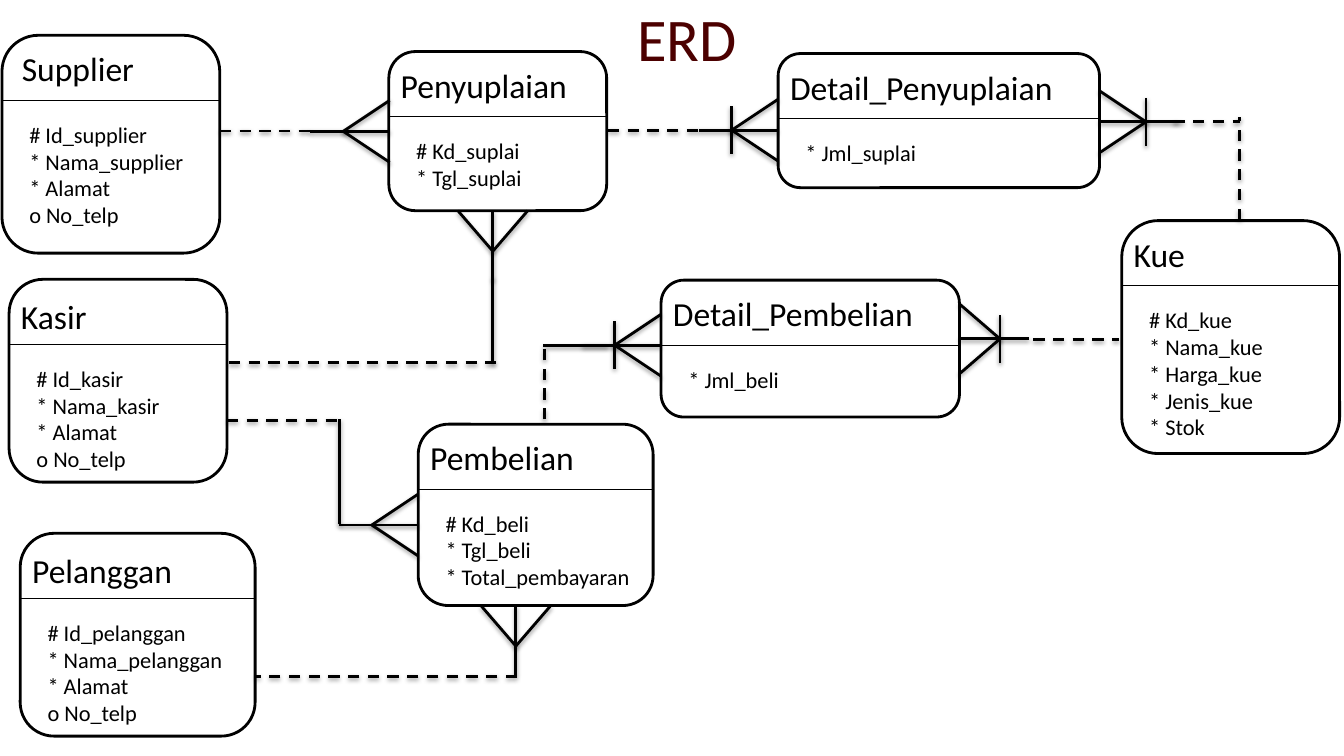
"""Build the ERD slide of a cake shop: entities, crow's feet and links."""
from lxml import etree
from pptx import Presentation
from pptx import util as u
from pptx.dml.color import RGBColor
from pptx.enum import dml, shapes, text
from pptx.oxml.ns import qn

Cm = u.Cm
SHADOW = {"blurRad": "39370", "dist": "20320", "dir": "5400000", "rotWithShape": "0"}


def stroke(parent, x1, y1, x2, y2, width=2, dashed=False, shadow=True):
    line = parent.add_connector(shapes.MSO_CONNECTOR.STRAIGHT, Cm(x1), Cm(y1), Cm(x2), Cm(y2))
    line.line.color.rgb = RGBColor.from_string("000000")
    line.line.width = u.Pt(width)
    if dashed:
        line.line.dash_style = dml.MSO_LINE.DASH
    effects = etree.SubElement(line._element.spPr, qn("a:effectLst"))
    if shadow:
        outer = etree.SubElement(effects, qn("a:outerShdw"), SHADOW)
        black = etree.SubElement(outer, qn("a:srgbClr"), val="000000")
        etree.SubElement(black, qn("a:alpha"), val="38000")


def write(frame, lines, size, color="000000"):
    frame.word_wrap = True
    frame.text = "\n".join(lines)
    for paragraph in frame.paragraphs:
        paragraph.alignment = text.PP_ALIGN.LEFT
        for name, value in {"name": "Calibri", "size": u.Pt(size)}.items():
            setattr(paragraph.font, name, value)
        paragraph.font.color.rgb = RGBColor.from_string(color)


deck = Presentation()
deck.slide_width, deck.slide_height = Cm(33.87), Cm(19.05)
slide = deck.slides.add_slide(deck.slide_layouts[5])

heading = slide.shapes.title
placement = {"left": Cm(15.8), "top": Cm(-0.13), "width": Cm(6.43), "height": Cm(2.13)}
for name, value in placement.items():
    setattr(heading, name, value)
write(heading.text_frame, ["ERD"], 43.2, "4C0000")
heading.text_frame.vertical_anchor = text.MSO_ANCHOR.MIDDLE

# left, top, width, height, name, name offset, attributes
entities = [
    (0.05, 0.89, 5.49, 5.49, "Supplier", (0.25, 0.2),
     ["# Id_supplier", "* Nama_supplier", "* Alamat", "o No_telp"]),
    (9.8, 1.3, 5.49, 4.01, "Penyuplaian", (0.05, 0.2),
     ["# Kd_suplai", "* Tgl_suplai"]),
    (28.27, 5.56, 5.49, 5.87, "Kue", (0.05, 0.2),
     ["# Kd_kue", "* Nama_kue", "* Harga_kue", "* Jenis_kue", "* Stok"]),
    (10.54, 10.69, 5.92, 4.57, "Pembelian", (0.05, 0.2),
     ["# Kd_beli", "* Tgl_beli", "* Total_pembayaran"]),
    (0.23, 7.04, 5.49, 5.11, "Kasir", (0.05, 0.3),
     ["# Id_kasir", "* Nama_kasir", "* Alamat", "o No_telp"]),
    (19.61, 1.35, 8.1, 3.38, "Detail_Penyuplaian", (0.05, 0.2), ["* Jml_suplai"]),
    (16.66, 7.06, 7.52, 3.45, "Detail_Pembelian", (0.05, 0.2), ["* Jml_beli"]),
    (0.51, 13.44, 5.92, 5.11, "Pelanggan", (0.05, 0.3),
     ["# Id_pelanggan", "* Nama_pelanggan", "* Alamat", "o No_telp"]),
]
for left, top, width, height, entity, (dx, dy), attributes in entities:
    group = slide.shapes.add_group_shape().shapes
    body = group.add_shape(shapes.MSO_SHAPE.ROUNDED_RECTANGLE,
                           Cm(left), Cm(top), Cm(width), Cm(height))
    body.shadow.inherit = False
    body.fill.solid()
    body.fill.fore_color.rgb = RGBColor.from_string("FFFFFF")
    body.line.color.rgb = RGBColor.from_string("000000")
    body.line.width = u.Pt(2)
    stroke(group, left, top + 1.64, left + width, top + 1.64, width=0.75, shadow=False)
    for x, y, lines, size, tall in [
        (left + dx, top + dy, [entity], 24, 1.27),
        (left + 0.44, top + 2.03, attributes, 16, 0.25 + 0.69 * len(attributes)),
    ]:
        label = group.add_textbox(Cm(x), Cm(y), Cm(width), Cm(tall))
        write(label.text_frame, lines, size)
        label.text_frame.auto_size = text.MSO_AUTO_SIZE.SHAPE_TO_FIT_TEXT

# reach to the tip, half spread, stem length
wide, narrow = (1.17, 0.78, 2.0), (1.02, 0.88, 1.75)
LEFT, RIGHT, DOWN = (-1, 0), (1, 0), (0, 1)
feet = [
    (9.82, 3.31, LEFT, wide, False),
    (19.61, 3.28, LEFT, wide, True),
    (27.71, 3.07, RIGHT, wide, True),
    (10.54, 13.23, LEFT, wide, False),
    (16.66, 8.7, LEFT, wide, True),
    (24.18, 8.54, RIGHT, narrow, True),
    (12.42, 5.31, DOWN, narrow, False),
    (13.0, 15.26, DOWN, narrow, False),
]
for x, y, (dx, dy), (reach, spread, stem), mandatory in feet:
    group = slide.shapes.add_group_shape().shapes
    tip_x, tip_y = x + dx * reach, y + dy * reach
    stroke(group, x, y, x + dx * stem, y + dy * stem)
    for side in (-spread, spread):
        stroke(group, tip_x, tip_y, x + dy * side, y + dx * side)
    if mandatory:
        stroke(group, tip_x, tip_y - 0.6, tip_x, tip_y + 0.6)

optional_links = [
    (5.54, 3.3, 7.85, 3.3), (15.32, 3.28, 17.63, 3.28), (29.57, 3.07, 31.24, 3.07),
    (31.24, 5.54, 31.24, 2.95), (5.72, 10.59, 8.56, 10.59), (13.72, 10.57, 13.72, 8.66),
    (5.77, 9.14, 12.5, 9.14), (26.04, 8.56, 28.19, 8.56), (13.03, 17.04, 6.43, 17.04),
]
required_links = [
    (12.42, 9.17, 12.42, 6.99), (13.69, 8.71, 15.32, 8.71), (8.56, 10.57, 8.56, 13.21),
]
for links, dashed in ((optional_links, True), (required_links, False)):
    for link in links:
        stroke(slide.shapes, *link, dashed=dashed)

deck.save("out.pptx")
